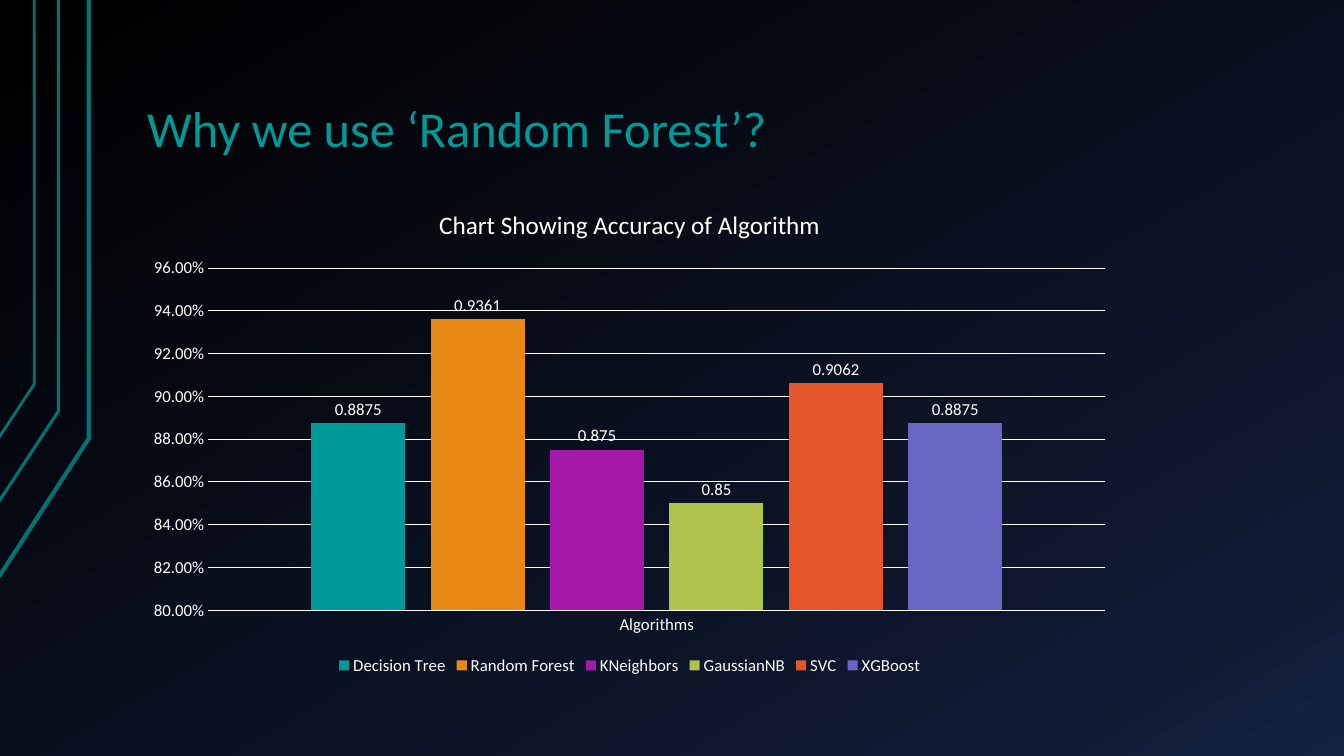
"""Build the slide comparing the accuracy of classification algorithms."""
import copy

import pptx
import pptx.chart.data
import pptx.dml.color
import pptx.enum.chart
import pptx.enum.text
import pptx.oxml.ns
import pptx.util
from pptx.util import Inches

COLORS = {"title": "009999", "text": "FFFFFF", "line": "007373"}
BACKGROUND = [(0, "000000"), (0.85, "0F1931"), (1, "142242")]
ACCURACY = [
    ("Decision Tree", 0.8875, "009999"),
    ("Random Forest", 0.9361, "E98915"),
    ("KNeighbors", 0.875, "A419A7"),
    ("GaussianNB", 0.85, "AFC34D"),
    ("SVC", 0.9062, "E5572B"),
    ("XGBoost", 0.8875, "6868C4"),
]
BENT_LINES = [
    ([(-0.01, 5.72), (0.88, 4.35), (0.88, 0)], 3),
    ([(-0.02, 4.99), (0.58, 4.08), (0.58, 0)], 2.25),
    ([(-0.01, 4.34), (0.34, 3.81), (0.34, 0)], 2),
]


def rgb(value):
    """Return the colour object of a hex string."""
    return pptx.dml.color.RGBColor.from_string(value)


def set_attrs(obj, **values):
    """Set each given attribute on an object."""
    for name, value in values.items():
        setattr(obj, name, value)


def set_font(font, size, color):
    """Give a font its face, size and colour."""
    set_attrs(font, name="Calibri", size=pptx.util.Pt(size), bold=False)
    font.color.rgb = rgb(color)


def set_line(line, color, width):
    """Give a line its colour and width."""
    line.color.rgb = rgb(color)
    line.width = pptx.util.Pt(width)


def set_background(s):
    """Fill the slide background with a three-stop gradient."""
    fill = s.background.fill
    fill.gradient()
    fill.gradient_angle = 300
    stops = s._element.find(".//" + pptx.oxml.ns.qn("a:gsLst"))
    stops.append(copy.deepcopy(stops[-1]))
    for stop, (position, color) in zip(fill.gradient_stops, BACKGROUND):
        stop.position = position
        stop.color.rgb = rgb(color)


def add_bent_line(s, points, width):
    """Draw an open unfilled line through the points."""
    corners = [(Inches(x), Inches(y)) for x, y in points]
    builder = s.shapes.build_freeform(*corners[0])
    builder.add_line_segments(corners[1:], close=False)
    sp = builder.convert_to_shape()
    sp.shadow.inherit = False
    sp.fill.background()
    set_line(sp.line, COLORS["line"], width)


def add_title(s, text):
    """Add the slide title."""
    box = s.shapes.add_textbox(Inches(1.33), Inches(0.3), Inches(11.33), Inches(1.34))
    tf = box.text_frame
    set_attrs(tf, word_wrap=True, vertical_anchor=pptx.enum.text.MSO_ANCHOR.BOTTOM,
              margin_left=Inches(0.13), margin_right=Inches(0.13),
              margin_top=Inches(0.07), margin_bottom=Inches(0.07))
    p = tf.paragraphs[0]
    p.line_spacing = 0.9
    r = p.add_run()
    r.text = text
    set_font(r.font, 36, COLORS["title"])


def format_axes(chart):
    """Format the category and value axes."""
    enums = pptx.enum.chart
    for axis in (chart.category_axis, chart.value_axis):
        set_attrs(axis, major_tick_mark=enums.XL_TICK_MARK.NONE,
                  minor_tick_mark=enums.XL_TICK_MARK.NONE)
        set_font(axis.tick_labels.font, 12, COLORS["text"])
    set_line(chart.category_axis.format.line, COLORS["text"], 0.75)
    axis = chart.value_axis
    set_attrs(axis, minimum_scale=0.8, maximum_scale=0.96, major_unit=0.02,
              has_major_gridlines=True)
    set_attrs(axis.tick_labels, number_format="0.00%", number_format_is_linked=False)
    axis.format.line.fill.background()
    set_line(axis.major_gridlines.format.line, COLORS["text"], 0.75)


def format_series(series, color):
    """Colour a series and label its columns with their values."""
    series.format.fill.solid()
    series.format.fill.fore_color.rgb = rgb(color)
    series.invert_if_negative = False
    labels = series.data_labels
    set_attrs(labels, show_value=True, number_format="General",
              number_format_is_linked=False,
              position=pptx.enum.chart.XL_LABEL_POSITION.OUTSIDE_END)
    set_font(labels.font, 12, COLORS["text"])


def add_accuracy_chart(s, title):
    """Add the column chart of accuracy by algorithm."""
    data = pptx.chart.data.CategoryChartData(number_format="General")
    data.categories = ["Algorithms"]
    for name, value, _ in ACCURACY:
        data.add_series(name, [value])
    chart = s.shapes.add_chart(
        pptx.enum.chart.XL_CHART_TYPE.COLUMN_CLUSTERED,
        Inches(1.33), Inches(1.86), Inches(9.83), Inches(4.88), data).chart
    set_font(chart.font, 10, COLORS["text"])
    set_attrs(chart, has_title=True, has_legend=True)
    p = chart.chart_title.text_frame.paragraphs[0]
    r = p.add_run()
    r.text = title
    set_font(r.font, 18, COLORS["text"])
    set_attrs(chart.legend, include_in_layout=False,
              position=pptx.enum.chart.XL_LEGEND_POSITION.BOTTOM)
    set_font(chart.legend.font, 12, COLORS["text"])
    format_axes(chart)
    plot = chart.plots[0]
    set_attrs(plot, gap_width=219, overlap=-27, vary_by_categories=False)
    for series, (_, _, color) in zip(plot.series, ACCURACY):
        format_series(series, color)


def main():
    """Build and save the slide."""
    prs = pptx.Presentation()
    set_attrs(prs, slide_width=Inches(13.33), slide_height=Inches(7.5))
    s = prs.slides.add_slide(prs.slide_layouts[6])
    set_background(s)
    for points, width in BENT_LINES:
        add_bent_line(s, points, width)
    add_title(s, "Why we use ‘Random Forest’?")
    add_accuracy_chart(s, "Chart Showing Accuracy of Algorithm")
    prs.save("out.pptx")


if __name__ == "__main__":
    main()
